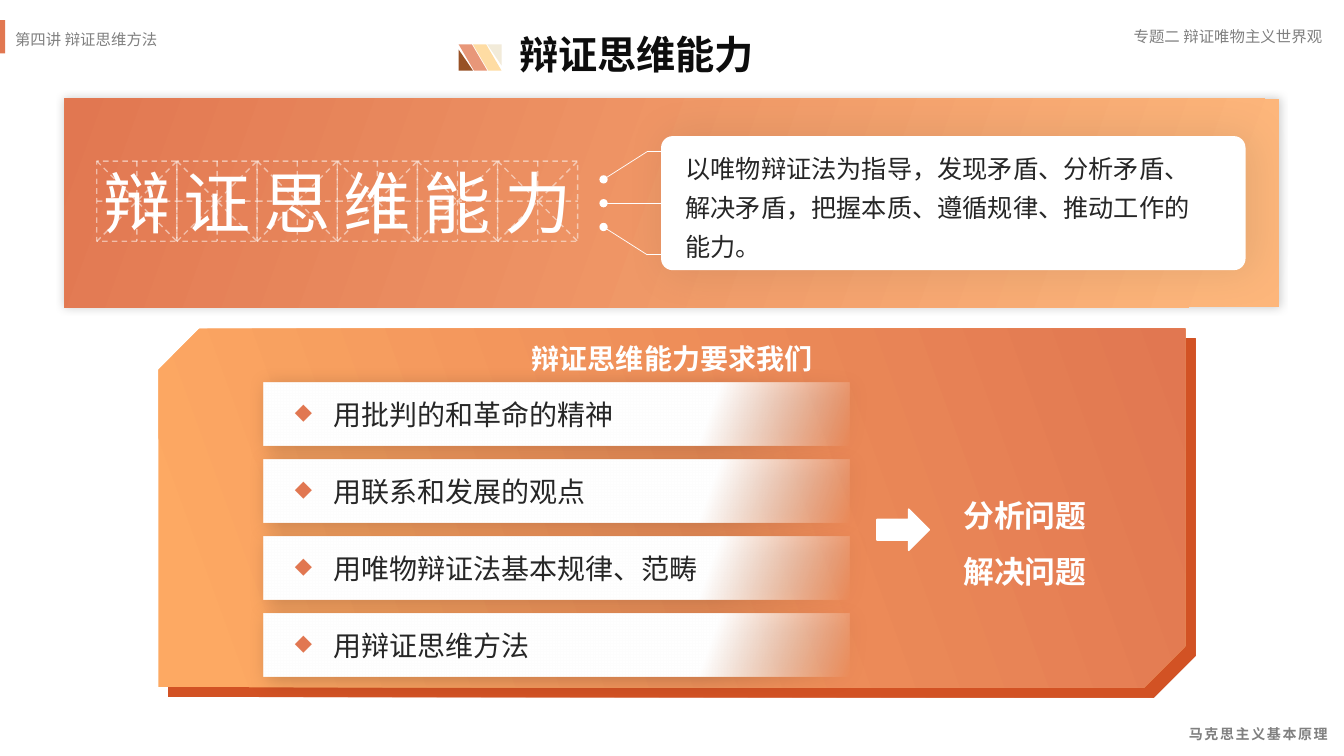
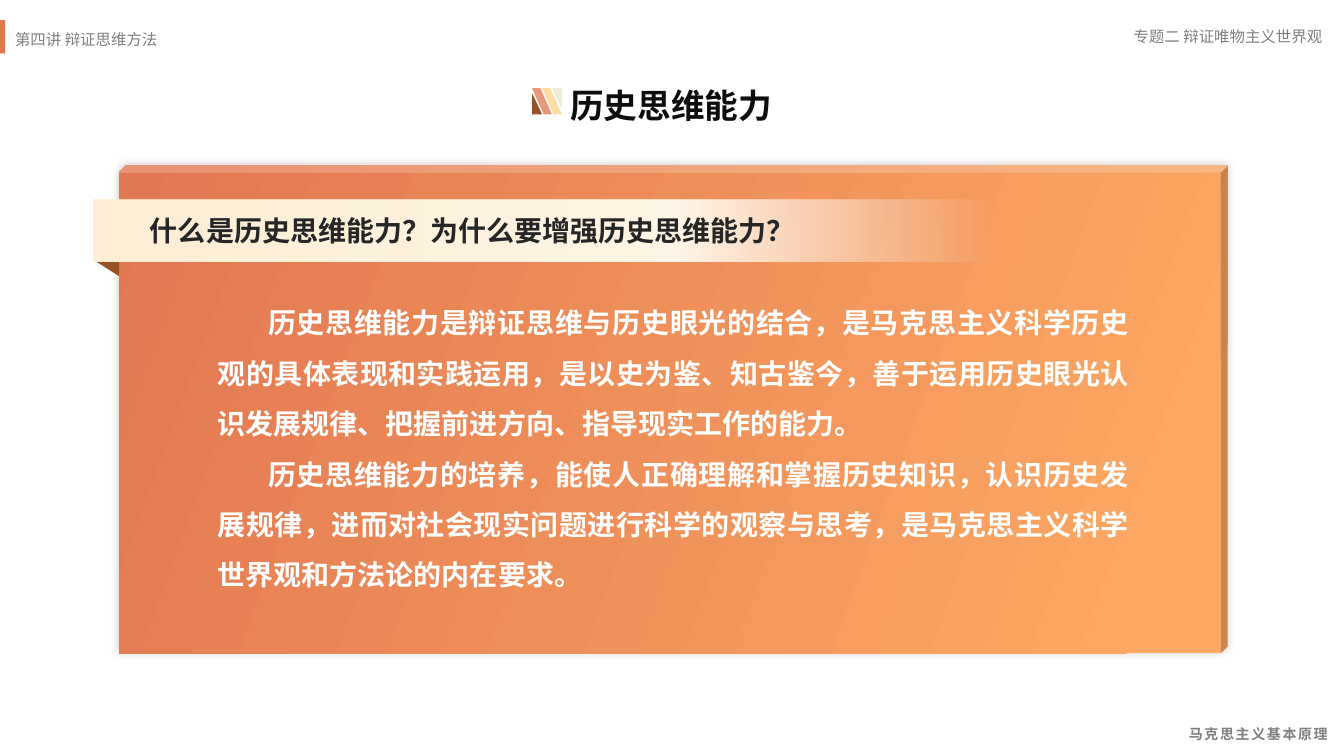
from lxml.etree import SubElement
from pptx import Presentation
from pptx.dml.color import RGBColor
from pptx.enum.dml import MSO_LINE
from pptx.enum.shapes import MSO_CONNECTOR, MSO_SHAPE as Preset
from pptx.enum.text import MSO_ANCHOR as Anchor, MSO_AUTO_SIZE, PP_ALIGN as Align
from pptx.oxml.ns import qn
from pptx.util import Cm, Pt

# Content
LECTURE = "第四讲 辩证思维方法"
TOPIC = "专题二 辩证唯物主义世界观"
COURSE = "马克思主义基本原理"

ABILITY = "辩证思维能力"
DEFINITION = "以唯物辩证法为指导，发现矛盾、分析矛盾、解决矛盾，把握本质、遵循规律、推动工作的能力。"
DEMAND = "辩证思维能力要求我们"
REQUIREMENTS = [
    "用批判的和革命的精神",
    "用联系和发展的观点",
    "用唯物辩证法基本规律、范畴",
    "用辩证思维方法",
]
RESULTS = ["分析问题", "解决问题"]

HISTORY = "历史思维能力"
QUESTION = "什么是历史思维能力？为什么要增强历史思维能力？"
ANSWERS = [
    "历史思维能力是辩证思维与历史眼光的结合，是马克思主义科学历史观的具体表现和实践运用，"
    "是以史为鉴、知古鉴今，善于运用历史眼光认识发展规律、把握前进方向、指导现实工作的能力。",
    "历史思维能力的培养，能使人正确理解和掌握历史知识，认识历史发展规律，"
    "进而对社会现实问题进行科学的观察与思考，是马克思主义科学世界观和方法论的内在要求。",
]

# Shared style
COLORS = {
    "white": "FFFFFF", "black": "000000", "title": "0D0D0D", "text": "262626",
    "gray": "808080", "coral": "E17751", "orange": "FDA963", "peach": "FDB67B",
    "rust": "D25224", "brown": "985125", "salmon": "E89779", "sand": "FEDCA3",
    "ivory": "F2EBD9", "cream": "FEEFD5", "milk": "FFF7E7", "ink": "14201E",
}
FONT, GRID_FONT = "Noto Sans CJK SC", "Noto Sans CJK JP"
CORAL_TO_ORANGE = [(4, "orange", 100), (100, "coral", 100)]
CORAL_TO_PEACH = [(4, "peach", 100), (100, "coral", 100)]
WHITE_FADE = [(0, "white", 0), (25, "white", 100), (100, "white", 100)]
CREAM_FADE = [(0, "cream", 100), (65, "milk", 100), (100, "white", 0)]
SOFT_EDGE = ("black", 20, 6, 0, 315)


def rgb(color):
    return RGBColor.from_string(COLORS[color])


def add_color(parent, color, opacity):
    node = SubElement(parent, qn("a:srgbClr"), val=COLORS[color])
    if opacity < 100:
        SubElement(node, qn("a:alpha"), val=str(opacity * 1000))


def paint_gradient(shape, stops, angle):
    shape.fill.gradient()
    shape.fill.gradient_angle = (360 - angle) % 360
    stop_list = shape.element.spPr.find(".//" + qn("a:gsLst"))
    for old_stop in list(stop_list):
        stop_list.remove(old_stop)
    for position, color, opacity in stops:
        stop = SubElement(stop_list, qn("a:gs"), pos=str(position * 1000))
        add_color(stop, color, opacity)


def cast_shadow(shape, color, opacity, blur, distance, angle):
    effects = shape.element.spPr.find(qn("a:effectLst"))
    shadow = SubElement(effects, qn("a:outerShdw"), blurRad=str(Pt(blur)),
                        dist=str(Pt(distance)), dir=str(angle * 60000),
                        algn="ctr", rotWithShape="0")
    add_color(shadow, color, opacity)


def add_block(slide, preset, box, fill=None, adjust=(), shadow=None):
    """Add a preset shape; fill is a colour name or a (stops, angle) pair."""
    block = slide.shapes.add_shape(preset, *map(Cm, box))
    block.shadow.inherit = False
    block.line.fill.background()
    for index, value in enumerate(adjust):
        block.adjustments[index] = value
    if fill is None:
        block.fill.background()
    elif isinstance(fill, str):
        block.fill.solid()
        block.fill.fore_color.rgb = rgb(fill)
    else:
        paint_gradient(block, *fill)
    if shadow:
        cast_shadow(block, *shadow)
    return block


def write(shape, lines, size, color, bold=False, align=Align.LEFT, anchor=Anchor.MIDDLE,
          leading=None, font=FONT, spacing=0, left=0, indent=0, bullet=None):
    frame = shape.text_frame
    frame.word_wrap = True
    frame.auto_size = MSO_AUTO_SIZE.NONE
    frame.vertical_anchor = anchor
    frame.text = "\n".join(lines)
    for paragraph in frame.paragraphs:
        paragraph.alignment = align
        paragraph.space_before = Pt(0)
        if leading:
            paragraph.line_spacing = Pt(leading)
        props = paragraph._p.get_or_add_pPr()
        props.set("marL", str(Cm(left)))
        props.set("indent", str(Cm(indent)))
        if bullet:
            add_color(SubElement(props, qn("a:buClr")), "coral", 100)
            SubElement(props, qn("a:buSzPct"), val="80000")
            SubElement(props, qn("a:buChar"), char=bullet)
        else:
            SubElement(props, qn("a:buNone"))
        for run in paragraph.runs:
            run.font.size = Pt(size)
            run.font.bold = bold
            run.font.name = font
            run.font.color.rgb = rgb(color)
            run_props = run._r.get_or_add_rPr()
            SubElement(run_props, qn("a:ea"), typeface=font)
            if spacing:
                run_props.set("spc", str(spacing))


def add_text(slide, box, lines, size, color, **style):
    label = slide.shapes.add_textbox(*map(Cm, box))
    write(label, lines, size, color, **style)
    return label


def add_line(slide, start, end, width, dashed=False, dot=False):
    line = slide.shapes.add_connector(MSO_CONNECTOR.STRAIGHT, *map(Cm, start + end))
    style_line(line.line, width, dashed)
    if dot:
        SubElement(line.line._get_or_add_ln(), qn("a:headEnd"), type="oval")
    SubElement(line.element.spPr, qn("a:effectLst"))
    return line


def style_line(outline, width, dashed=False):
    outline.width = Pt(width)
    outline.color.rgb = rgb("white")
    if dashed:
        outline.dash_style = MSO_LINE.DASH
        color = outline._get_or_add_ln().find(".//" + qn("a:srgbClr"))
        SubElement(color, qn("a:alpha"), val="50000")


def place(placeholder, box):
    placeholder.left, placeholder.top, placeholder.width, placeholder.height = map(Cm, box)


def add_title(slide, title, box, size, icon_left, icon_top, step):
    """Fill the title placeholder and draw the striped mark before it."""
    place(slide.shapes.title, box)
    write(slide.shapes.title, [title], size, "title", bold=True)
    for index, color in ((1, "sand"), (0, "salmon")):
        stripe = add_block(slide, Preset.PARALLELOGRAM,
                           (icon_left + index * step, icon_top, 2 * step, 0.66), color, [0.585])
        stripe.element.spPr.find(qn("a:xfrm")).set("flipH", "1")
    add_block(slide, Preset.RIGHT_TRIANGLE, (icon_left, icon_top + 0.13, step, 0.53), "brown")
    corner = add_block(slide, Preset.RIGHT_TRIANGLE,
                       (icon_left + 2 * step, icon_top, step, 0.53), "ivory")
    corner.rotation = 180


def dress_master(prs, slide):
    """Build the running heads on a slide and hand them to the master."""
    heads = [
        add_text(slide, (27.13, 18.08, 6.58, 0.81), [COURSE], 10, "gray",
                 bold=True, align=Align.RIGHT, spacing=120),
        add_text(slide, (25.22, 0.54, 8.36, 0.74), [TOPIC], 11, "gray", align=Align.RIGHT),
        add_text(slide, (0.13, 0.61, 19.89, 0.76), [LECTURE], 11, "gray"),
        add_block(slide, Preset.RECTANGLE, (0, 0.51, 0.13, 0.84), "coral"),
    ]
    for number, head in enumerate(heads, 101):
        head.element.find(".//" + qn("p:cNvPr")).set("id", str(number))
        prs.slide_master.shapes.element.append(head.element)


def draw_grid_cell(slide, character, left, top, side):
    cell = add_block(slide, Preset.RECTANGLE, (left, top, side, side))
    style_line(cell.line, 1, dashed=True)
    frame = cell.text_frame
    frame.margin_left = frame.margin_right = frame.margin_top = frame.margin_bottom = 0
    write(cell, [character], 48, "white", align=Align.CENTER, font=GRID_FONT)
    right, bottom, middle, center = left + side, top + side, top + side / 2, left + side / 2
    add_line(slide, (left, top), (right, bottom), 1, dashed=True)
    add_line(slide, (left, bottom), (right, top), 1, dashed=True)
    for start, end, sites in (((left, middle), (right, middle), (1, 3)),
                              ((center, top), (center, bottom), (0, 2))):
        axis = add_line(slide, start, end, 1, dashed=True)
        axis.begin_connect(cell, sites[0])
        axis.end_connect(cell, sites[1])


def build_ability(slide):
    # Requirements panel
    add_block(slide, Preset.SNIP_2_DIAG_RECTANGLE, (3.99, 8.28, 25.88, 9.04),
              (CORAL_TO_ORANGE, 340), [0.115, 0], ("rust", 100, 0, 10, 45))
    add_text(slide, (6.63, 8.48, 20.62, 1.12), [DEMAND], 20, "white",
             bold=True, align=Align.CENTER)
    for row, requirement in enumerate(REQUIREMENTS):
        bar = add_block(slide, Preset.RECTANGLE, (6.65, 9.63 + row * 1.94, 14.76, 1.6),
                        (WHITE_FADE, 200), shadow=("black", 20, 14, 3, 45))
        write(bar, [requirement], 20, "text", left=1.5, indent=-0.97, bullet="◆")
    arrow = add_block(slide, Preset.RIGHT_ARROW, (22.1, 12.83, 1.32, 1.04), "white")
    style_line(arrow.line, 1)
    add_text(slide, (24.03, 11.92, 4.88, 2.92), RESULTS, 22, "white",
             bold=True, anchor=Anchor.TOP, leading=40)

    # Definition band
    add_block(slide, Preset.RECTANGLE, (1.63, 2.49, 30.61, 5.26),
              (CORAL_TO_PEACH, 200), shadow=SOFT_EDGE)
    callout_left, middle = 16.66, 5.12
    callout = add_block(slide, Preset.ROUNDED_RECTANGLE,
                        (callout_left, middle - 1.69, 14.73, 3.38), "white", [0.087],
                        ("ink", 10, 31, 5, 0))
    callout.text_frame.margin_left = Cm(0.53)
    callout.text_frame.margin_right = Cm(0.8)
    write(callout, [DEFINITION], 18, "text", leading=28)

    # Leader lines
    dot_left, bend = 15.21, 16.31
    for side in (-1, 1):
        level = middle + side * 1.3
        add_line(slide, (dot_left, middle + side * 0.6), (bend, level), 0.5, dot=True)
        add_line(slide, (bend, level), (callout_left, level), 0.5)
    leader = add_line(slide, (dot_left, middle), (callout_left, middle), 0.5, dot=True)
    leader.end_connect(callout, 1)

    # Writing grid
    side = 2.02
    for index, character in enumerate(ABILITY):
        draw_grid_cell(slide, character, 2.44 + index * side, 4.06, side)

    add_title(slide, ABILITY, (12.83, 0.64, 9.27, 1.45), 28, 11.56, 1.12, 0.36)


def build_history(slide):
    add_block(slide, Preset.CUBE, (3, 4.17, 27.94, 12.29),
              (CORAL_TO_ORANGE, 200), [0.014], SOFT_EDGE)

    # Answer
    answer = slide.placeholders[1]
    place(answer, (5.23, 7.16, 23.47, 7.8))
    write(answer, ANSWERS, 20, "white", bold=True, align=Align.JUSTIFY,
          anchor=Anchor.TOP, leading=36, indent=1.27)
    slide.shapes.element.append(answer.element)

    add_title(slide, HISTORY, (14.12, 2.01, 6.32, 1.27), 24, 13.41, 2.22, 0.25)

    # Question ribbon
    fold = add_block(slide, Preset.RIGHT_TRIANGLE, (2.36, 6.55, 0.64, 0.41), "brown")
    fold.rotation = 180
    ribbon = add_block(slide, Preset.RECTANGLE, (2.36, 5.03, 22.61, 1.55), (CREAM_FADE, 0))
    ribbon.text_frame.margin_left = Cm(1.42)
    write(ribbon, [QUESTION], 20, "text", bold=True)


def main():
    prs = Presentation()
    prs.slide_width, prs.slide_height = Cm(33.87), Cm(19.05)
    title_only, title_and_body = prs.slide_layouts[5], prs.slide_layouts[1]
    ability = prs.slides.add_slide(title_only)
    dress_master(prs, ability)
    build_ability(ability)
    build_history(prs.slides.add_slide(title_and_body))
    prs.save("out.pptx")


if __name__ == "__main__":
    main()
